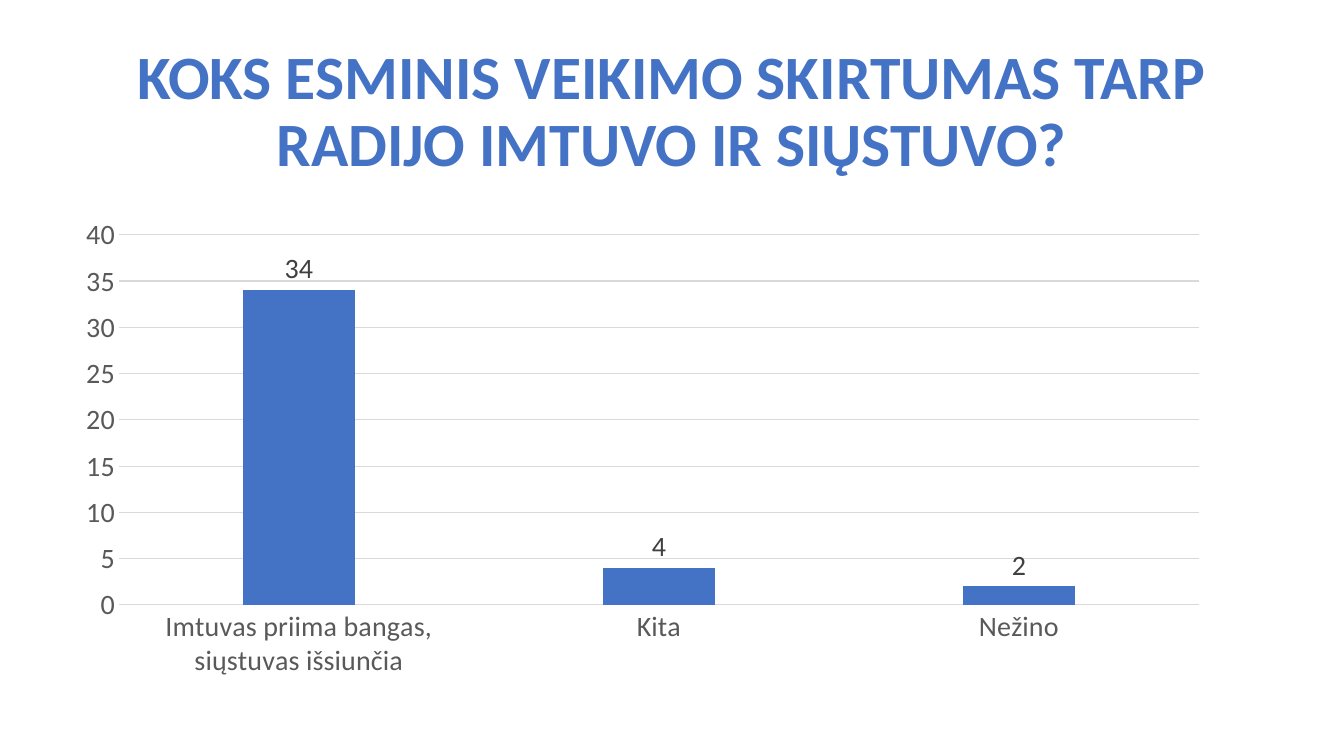
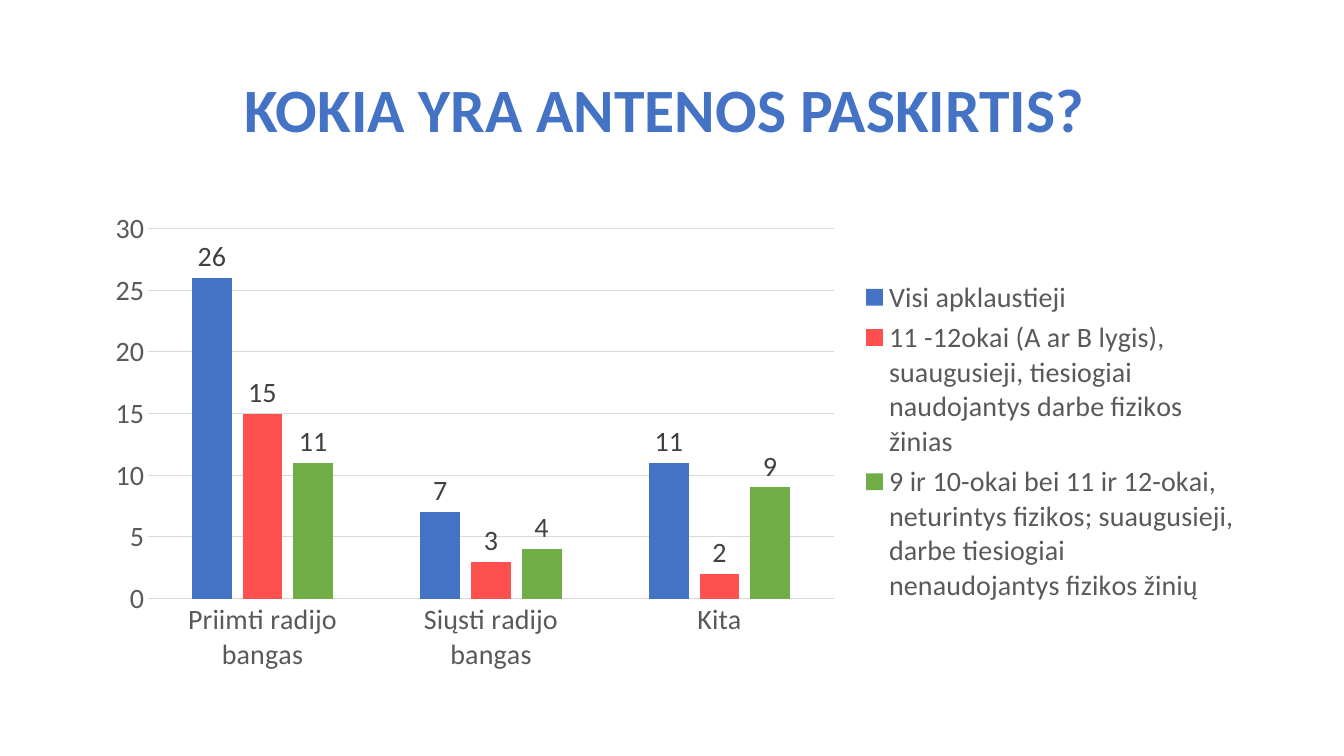
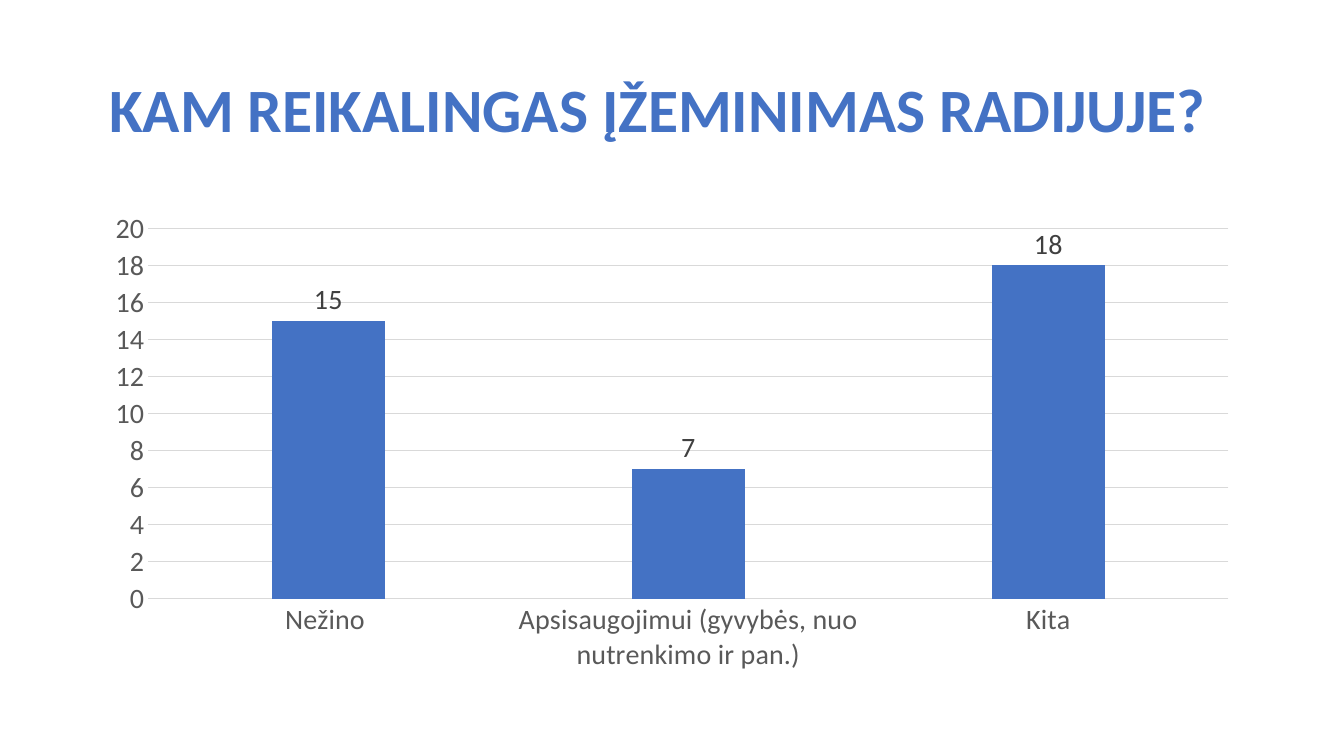
from dataclasses import dataclass

from pptx import Presentation
from pptx.chart.data import CategoryChartData
from pptx.dml.color import RGBColor
from pptx.enum.chart import XL_CHART_TYPE, XL_LABEL_POSITION, XL_LEGEND_POSITION, XL_TICK_MARK
from pptx.enum.text import MSO_ANCHOR, MSO_AUTO_SIZE, PP_ALIGN
from pptx.util import Emu, Pt

COLUMNS = XL_CHART_TYPE.COLUMN_CLUSTERED
ABOVE_BAR = XL_LABEL_POSITION.OUTSIDE_END
LEGEND_RIGHT = XL_LEGEND_POSITION.RIGHT
NO_TICK = XL_TICK_MARK.NONE
MIDDLE = MSO_ANCHOR.MIDDLE
NO_AUTOFIT = MSO_AUTO_SIZE.NONE
CENTER = PP_ALIGN.CENTER

EMU_PER_PX = 9525
SLIDE_SIZE = (1280, 720)
TITLE_BOX = (88, 38, 1104, 139)
CHART_SIZE = (1104, 457)
TITLE_ONLY_LAYOUT = 5


@dataclass(frozen=True)
class Theme:
    font: str = "Calibri"
    title_size: int = 44
    chart_size: int = 20
    hairline: float = 0.75
    title: str = "4472C4"
    axis_text: str = "595959"
    label_text: str = "404040"
    grid: str = "D9D9D9"
    series: tuple = ("4472C4", "FF5050", "70AD47")


def px(*lengths):
    return [Emu(length * EMU_PER_PX) for length in lengths]


class Deck:
    def __init__(self, theme):
        self.theme = theme
        self.presentation = Presentation()
        self.presentation.slide_width, self.presentation.slide_height = px(*SLIDE_SIZE)
        self.slide = None

    def style_font(self, font, size, color, bold=False):
        font.name = self.theme.font
        font.size = Pt(size)
        font.bold = bold
        font.color.rgb = RGBColor.from_string(color)

    def style_line(self, line):
        line.color.rgb = RGBColor.from_string(self.theme.grid)
        line.width = Pt(self.theme.hairline)

    def add_slide(self, question):
        layout = self.presentation.slide_layouts[TITLE_ONLY_LAYOUT]
        self.slide = self.presentation.slides.add_slide(layout)
        title = self.slide.shapes.title
        title.left, title.top, title.width, title.height = px(*TITLE_BOX)
        frame = title.text_frame
        frame.word_wrap = True
        frame.auto_size = NO_AUTOFIT
        frame.vertical_anchor = MIDDLE
        paragraph = frame.paragraphs[0]
        paragraph.alignment = CENTER
        paragraph.line_spacing = 0.9
        run = paragraph.add_run()
        run.text = question
        self.style_font(run.font, self.theme.title_size, self.theme.title, bold=True)

    def add_columns(self, position, answers, groups):
        """Chart the answer counts; a legend appears when there are several groups."""
        data = CategoryChartData()
        data.categories = answers
        for name, counts in groups.items():
            data.add_series(name, counts)
        frame = self.slide.shapes.add_chart(COLUMNS, *px(*position, *CHART_SIZE), data)
        chart = frame.chart
        chart.has_title = False
        self.style_font(chart.font, self.theme.chart_size, self.theme.axis_text)
        self.style_axes(chart)
        self.style_series(chart.plots[0])
        chart.has_legend = len(groups) > 1
        if chart.has_legend:
            chart.legend.position = LEGEND_RIGHT
            chart.legend.include_in_layout = False
            self.style_font(chart.legend.font, self.theme.chart_size, self.theme.axis_text)

    def style_axes(self, chart):
        for axis in (chart.category_axis, chart.value_axis):
            axis.major_tick_mark = axis.minor_tick_mark = NO_TICK
            self.style_font(axis.tick_labels.font, self.theme.chart_size, self.theme.axis_text)
        self.style_line(chart.category_axis.format.line)
        chart.value_axis.format.line.fill.background()
        chart.value_axis.has_major_gridlines = True
        self.style_line(chart.value_axis.major_gridlines.format.line)

    def style_series(self, plot):
        plot.gap_width = 219
        plot.overlap = -27
        plot.vary_by_categories = False
        for series, color in zip(plot.series, self.theme.series):
            series.format.fill.solid()
            series.format.fill.fore_color.rgb = RGBColor.from_string(color)
            labels = series.data_labels
            labels.show_value = True
            labels.position = ABOVE_BAR
            self.style_font(labels.font, self.theme.chart_size, self.theme.label_text)


def main():
    deck = Deck(Theme())

    deck.add_slide("KOKS ESMINIS VEIKIMO SKIRTUMAS TARP RADIJO IMTUVO IR SIŲSTUVO?")
    deck.add_columns(
        (60, 198),
        ["Imtuvas priima bangas, siųstuvas išsiunčia", "Kita", "Nežino"],
        {"Series 1": (34, 4, 2)},
    )

    deck.add_slide("KOKIA YRA ANTENOS PASKIRTIS? ")
    deck.add_columns(
        (88, 192),
        ["Priimti radijo bangas", "Siųsti radijo bangas", "Kita"],
        {
            "Visi apklaustieji": (26, 7, 11),
            "11 -12okai (A ar B lygis), suaugusieji, tiesiogiai "
            "naudojantys darbe fizikos žinias": (15, 3, 2),
            "9 ir 10-okai bei 11 ir 12-okai, neturintys fizikos; suaugusieji, "
            "darbe tiesiogiai nenaudojantys fizikos žinių ": (11, 4, 9),
        },
    )

    deck.add_slide("KAM REIKALINGAS ĮŽEMINIMAS RADIJUJE?  ")
    deck.add_columns(
        (88, 192),
        ["Nežino ", "Apsisaugojimui (gyvybės, nuo nutrenkimo ir pan.)", "Kita"],
        {"Series 1": (15, 7, 18)},
    )

    deck.presentation.save("out.pptx")


if __name__ == "__main__":
    main()
